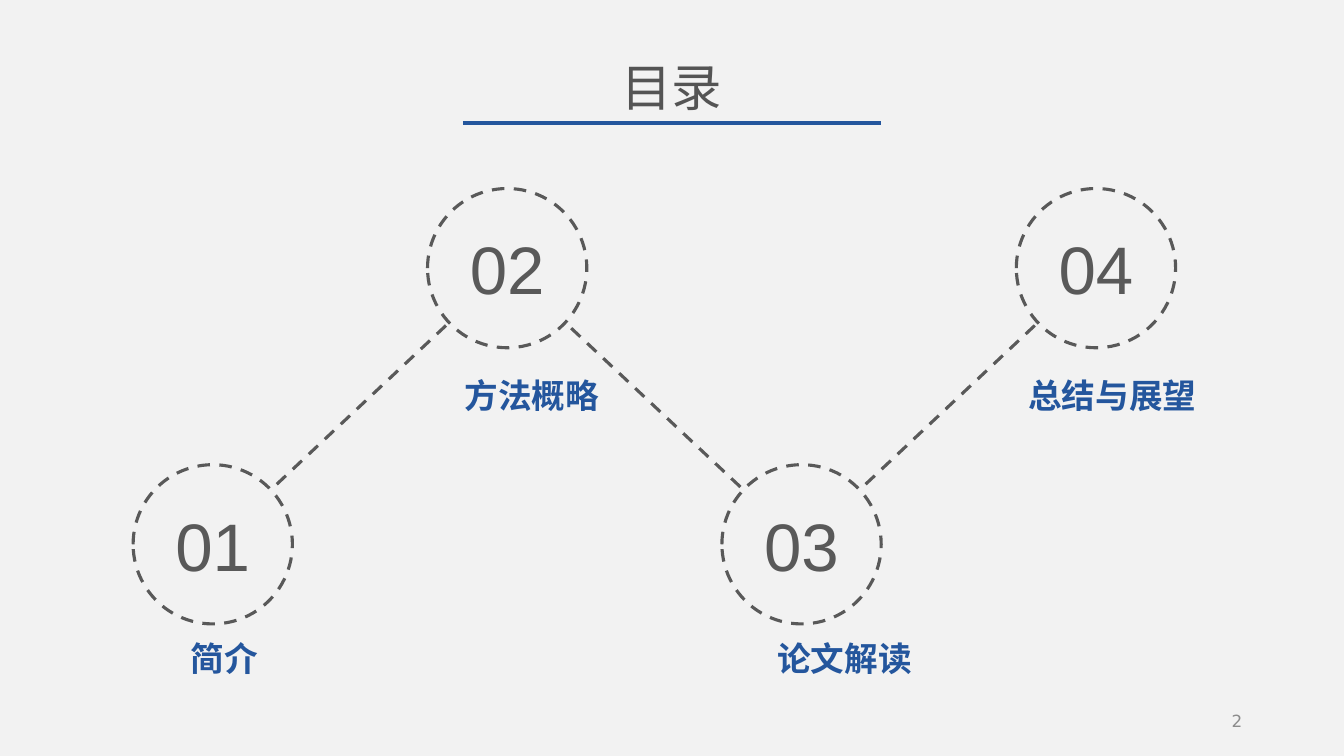
from pptx import Presentation
from pptx.dml.color import RGBColor
from pptx.enum.dml import MSO_LINE
from pptx.enum.shapes import MSO_CONNECTOR, MSO_SHAPE
from pptx.enum.text import MSO_ANCHOR, MSO_AUTO_SIZE, PP_ALIGN
from pptx.oxml.ns import qn
from pptx.oxml.xmlchemy import OxmlElement
from pptx.util import Inches, Pt

# Content: number, label, label left, label width
TITLE = "目录"
PAGE_NUMBER = "2"
SECTIONS = [
    ("01", "简介", 1.79, 0.88),
    ("02", "方法概略", 4.51, 1.55),
    ("03", "论文解读", 7.61, 1.55),
    ("04", "总结与展望", 10.1, 1.88),
]
COLORS = {
    "background": "F2F2F2",
    "title": "545454",
    "blue": "24569D",
    "gray": "595959",
    "page": "8C8C8C",
}

# Zigzag layout: sections alternate between the low and the high row
DIAMETER = 1.58
FIRST_LEFT, STEP = 1.32, 2.92
CIRCLE_TOPS = (4.61, 1.87)
LABEL_TOPS = (6.28, 3.67)


def color(name):
    return RGBColor.from_string(COLORS[name])


def write(shape, text, size, font_name, color_name, align, bold=False,
          anchor=MSO_ANCHOR.TOP, wrap=False):
    frame = shape.text_frame
    frame.text = text
    frame.word_wrap = wrap
    frame.vertical_anchor = anchor
    paragraph = frame.paragraphs[0]
    paragraph.alignment = align
    font = paragraph.font
    font.size, font.bold, font.name = Pt(size), bold, font_name
    font.color.rgb = color(color_name)
    # East Asian typeface
    east_asian = OxmlElement("a:ea")
    east_asian.set("typeface", font_name)
    paragraph._p.pPr.find(qn("a:defRPr")).find(qn("a:latin")).addnext(east_asian)


def add_text(slide, box, *style, **options):
    shape = slide.shapes.add_textbox(*map(Inches, box))
    write(shape, *style, **options)
    return shape


def style_line(line, color_name, width, dash=None):
    line.color.rgb = color(color_name)
    line.width = Pt(width)
    if dash:
        line.dash_style = dash


def add_line(slide, start, end, *style):
    connector = slide.shapes.add_connector(
        MSO_CONNECTOR.STRAIGHT, *map(Inches, start + end))
    style_line(connector.line, *style)
    connector._element.spPr.append(OxmlElement("a:effectLst"))


def main():
    presentation = Presentation()
    presentation.slide_width = Inches(13.33)
    presentation.slide_height = Inches(7.5)
    slide = presentation.slides.add_slide(presentation.slide_layouts[5])
    slide.background.fill.solid()
    slide.background.fill.fore_color.rgb = color("background")

    # Title and underline
    title = slide.shapes.title
    title.left, title.top = Inches(6.06), Inches(0.51)
    title.width, title.height = Inches(1.21), Inches(0.71)
    write(title, TITLE, 36, "Noto Sans CJK SC", "title", PP_ALIGN.CENTER)
    title.text_frame.auto_size = MSO_AUTO_SIZE.NONE
    add_line(slide, (4.59, 1.22), (8.74, 1.22), "blue", 3.5)

    # Dashed links between circle centres, behind the circles
    corners = [(FIRST_LEFT + STEP * index, CIRCLE_TOPS[index % 2])
               for index in range(len(SECTIONS))]
    centers = [(left + DIAMETER / 2, top + DIAMETER / 2) for left, top in corners]
    for start, end in zip(centers, centers[1:]):
        add_line(slide, start, end, "gray", 2.25, MSO_LINE.DASH)

    # Numbered circles and their labels
    for index, (number, label, label_left, label_width) in enumerate(SECTIONS):
        left, top = corners[index]
        circle = slide.shapes.add_shape(
            MSO_SHAPE.OVAL, Inches(left), Inches(top),
            Inches(DIAMETER), Inches(DIAMETER))
        circle.shadow.inherit = False
        circle.fill.solid()
        circle.fill.fore_color.rgb = color("background")
        style_line(circle.line, "gray", 2.25, MSO_LINE.DASH)
        write(circle, number, 48, "Arial", "gray", PP_ALIGN.CENTER,
              anchor=MSO_ANCHOR.MIDDLE, wrap=True)
        label_box = add_text(
            slide, (label_left, LABEL_TOPS[index % 2], label_width, 0.5),
            label, 24, "DejaVu Sans", "blue", PP_ALIGN.LEFT, bold=True)
        label_box.text_frame.auto_size = MSO_AUTO_SIZE.SHAPE_TO_FIT_TEXT

    # Page number
    add_text(slide, (9.42, 6.95, 3, 0.4), PAGE_NUMBER, 12, "DejaVu Sans", "page",
             PP_ALIGN.RIGHT, anchor=MSO_ANCHOR.MIDDLE, wrap=True)

    presentation.save("out.pptx")


if __name__ == "__main__":
    main()
